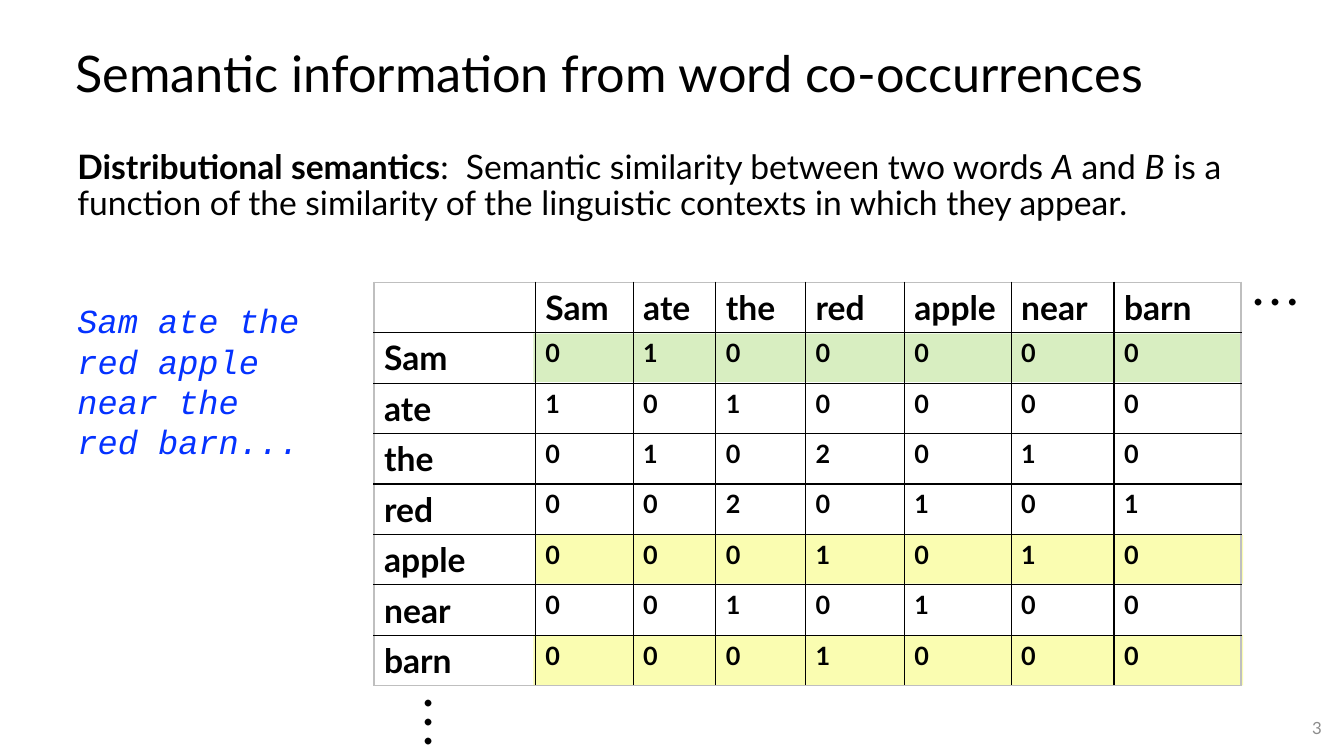
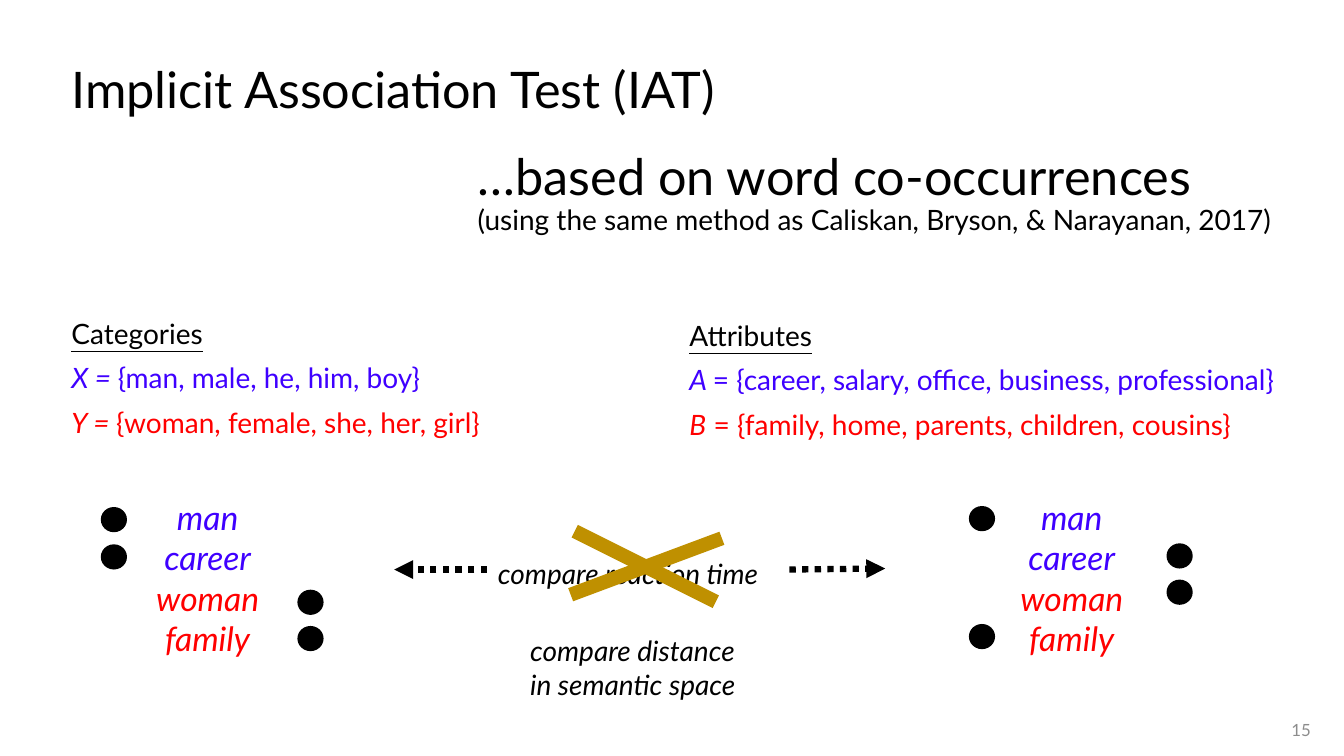
"""Builds two slides on word co-occurrences and the Implicit Association Test."""
from lxml import etree
from pptx import Presentation
from pptx.dml.color import RGBColor
from pptx.enum.dml import MSO_LINE
from pptx.enum.shapes import MSO_CONNECTOR, MSO_SHAPE
from pptx.enum.text import MSO_ANCHOR, PP_ALIGN
from pptx.oxml.ns import qn
from pptx.util import Inches, Pt

BLACK = RGBColor(0x00, 0x00, 0x00)
GRAY = RGBColor(0x8C, 0x8C, 0x8C)
EDGE = RGBColor(0xBF, 0xBF, 0xBF)
CODE_BLUE = RGBColor(0x04, 0x32, 0xFF)
VIOLET = RGBColor(0x3F, 0x00, 0xFF)
RED = RGBColor(0xFF, 0x00, 0x00)
GOLD = RGBColor(0xBF, 0x90, 0x00)
GREEN = RGBColor(0x92, 0xD0, 0x50)
YELLOW = RGBColor(0xF1, 0xFA, 0x21)
FONT = "Lato"


def add_text(s, box, paras, size, font=FONT, anchor=MSO_ANCHOR.TOP,
             align=PP_ALIGN.LEFT, spacing=1.0, before=0):
    """Add a text box; a paragraph is (colour, [(text, style letters), ...])."""
    tf = s.shapes.add_textbox(*map(Inches, box)).text_frame
    tf.word_wrap = True
    tf.vertical_anchor = anchor
    for i, (color, runs) in enumerate(paras):
        p = tf.paragraphs[0] if i == 0 else tf.add_paragraph()
        p.alignment = align
        p.line_spacing = spacing
        p.space_before = Pt(before if i else 0)
        p.font.name = font
        p.font.size = Pt(size)
        p.font.color.rgb = color
        for text, style in runs:
            r = p.add_run()
            r.text = text
            if "b" in style:
                r.font.bold = True
            if "i" in style:
                r.font.italic = True
            if "u" in style:
                r.font.underline = True
    return tf


def add_line(s, start, end, color, width):
    """Add a straight connector without a shadow."""
    line = s.shapes.add_connector(MSO_CONNECTOR.STRAIGHT, *map(Inches, start + end))
    line.line.color.rgb = color
    line.line.width = Pt(width)
    etree.SubElement(line._element.spPr, qn("a:effectLst"))
    return line


prs = Presentation()
prs.slide_width = Inches(13.33)
prs.slide_height = Inches(7.5)

slides = []
for title, title_box, number, number_box in [
    ("Semantic information from word co-occurrences", (0.65, 0.13, 12, 1.25),
     "3", (10.1, 7.02, 3.11, 0.4)),
    ("Implicit Association Test (IAT)", (0.61, 0.19, 11.5, 1.45),
     "15", (10.1, 7.04, 3, 0.4)),
]:
    s = prs.slides.add_slide(prs.slide_layouts[6])
    add_text(s, title_box, [(BLACK, [(title, "")])], 36,
             anchor=MSO_ANCHOR.MIDDLE, spacing=0.9)
    add_text(s, number_box, [(GRAY, [(number, "")])], 12,
             anchor=MSO_ANCHOR.MIDDLE, align=PP_ALIGN.RIGHT)
    slides.append(s)
words_slide, iat_slide = slides

s = words_slide
for left, top, width, height, color in [
    (5.29, 6.3, 7.04, 0.5, YELLOW),
    (5.31, 5.31, 7.02, 0.48, YELLOW),
    (5.29, 3.31, 7.02, 0.48, GREEN),
]:
    band = s.shapes.add_shape(MSO_SHAPE.RECTANGLE, *map(Inches, (left, top, width, height)))
    band.shadow.inherit = False
    band.fill.solid()
    band.fill.fore_color.rgb = color
    band.line.fill.background()
    etree.SubElement(band._element.spPr.find(".//" + qn("a:srgbClr")),
                     qn("a:alpha"), val="35000")

add_text(s, (0.67, 1.44, 12, 0.98), [(BLACK, [
    ("Distributional semantics", "b"),
    (":  Semantic similarity between two words ", ""),
    ("A", "i"), (" and ", ""), ("B", "i"),
    (" is a function of the similarity of the linguistic contexts in which they appear.", ""),
])], 24, spacing=0.9)
add_text(s, (0.67, 2.93, 2.44, 1.72),
         [(CODE_BLUE, [("Sam ate the red apple near the red barn...", "i")])],
         24, font="Courier New")

words = ["Sam", "ate", "the", "red", "apple", "near", "barn"]
counts = ["0100000", "1010000", "0102010", "0020101", "0001010", "0010100", "0001000"]
grid = [[""] + words] + [[word, *row] for word, row in zip(words, counts)]
size = len(grid)

frame = s.shapes.add_table(size, size, *map(Inches, (3.71, 2.8, 8.6, 4)))
table = frame.table
table.first_row = table.horz_banding = False
for column, width in zip(table.columns, [1.6, 0.97, 0.82, 0.89, 0.98, 1.06, 1.02, 1.26]):
    column.width = Inches(width)
for i, row in enumerate(grid):
    table.rows[i].height = Inches(0.5)
    for j, text in enumerate(row):
        cell = table.cell(i, j)
        p = cell.text_frame.paragraphs[0]
        p.font.name = FONT
        p.font.size = Pt(18 if i and j else 24)
        p.font.bold = True
        p.font.color.rgb = BLACK
        if text:
            p.add_run().text = text
        tcPr = cell._tc.get_or_add_tcPr()
        for side, outer in [("L", j == 0), ("R", j == size - 1),
                            ("T", i == 0), ("B", i == size - 1)]:
            ln = etree.SubElement(tcPr, qn(f"a:ln{side}"), w=str(Pt(1)))
            fill = etree.SubElement(ln, qn("a:solidFill"))
            etree.SubElement(fill, qn("a:srgbClr"), val=str(EDGE if outer else BLACK))
        cell.fill.background()

dots_down = [(4.08, 6.4 + 0.19 * k) for k in range(3)]
dots_right = [(12.31 + 0.17 * k, 2.43) for k in range(3)]
for left, top in dots_down + dots_right:
    add_text(s, (left, top, 0.34, 0.77), [(BLACK, [(".", "")])], 40, font="Calibri")

s = iat_slide
tf = add_text(s, (4.64, 1.2, 8.6, 1.45), [
    (BLACK, [("…based on word co-occurrences", "")]),
    (BLACK, [("(using the same method as Caliskan, Bryson, & Narayanan, 2017)", "")]),
], 36, anchor=MSO_ANCHOR.MIDDLE, spacing=0.9)
tf.paragraphs[1].font.size = Pt(20)

for box, heading, sets in [
    ((0.61, 3.13, 5.93, 1.57), "Categories",
     [("X = ", "{man, male, he, him, boy}"),
      ("Y = ", "{woman, female, she, her, girl}")]),
    ((6.74, 3.15, 6.34, 1.68), "Attributes",
     [("A ", "= {career, salary, office, business, professional}"),
      ("B", " = {family, home, parents, children, cousins}")]),
]:
    paras = [(BLACK, [(heading, "u")])]
    for color, (name, members) in zip((VIOLET, RED), sets):
        paras.append((color, [(name, "i"), (members, "")]))
    add_text(s, box, paras, 20, spacing=0.9, before=10)

stimuli = [(VIOLET, "man"), (VIOLET, "career"), (RED, "woman"), (RED, "family")]
for left in (1.41, 9.98):
    add_text(s, (left, 4.88, 1.3, 1.72),
             [(color, [(word, "i")]) for color, word in stimuli],
             24, align=PP_ALIGN.CENTER)

for left, top in [(1, 5.03), (1, 5.4), (2.95, 5.85), (2.95, 6.21),
                  (9.61, 5.02), (9.61, 6.19), (11.57, 5.39), (11.57, 5.75)]:
    dot = s.shapes.add_shape(MSO_SHAPE.OVAL, *map(Inches, (left, top, 0.26, 0.25)))
    dot.shadow.inherit = False
    dot.fill.solid()
    dot.fill.fore_color.rgb = BLACK
    dot.line.fill.background()

add_text(s, (4.84, 5.47, 3.02, 0.44), [(BLACK, [("compare reaction time", "i")])], 20)
add_text(s, (5.16, 6.24, 2.5, 0.77), [
    (BLACK, [("compare distance", "i")]),
    (BLACK, [("in semantic space", "i")]),
], 20)

for start, end in [((7.83, 5.65), (8.78, 5.64)), ((4.83, 5.65), (3.91, 5.65))]:
    arrow = add_line(s, start, end, BLACK, 4.5)
    arrow.line.dash_style = MSO_LINE.ROUND_DOT
    etree.SubElement(arrow._element.spPr.find(qn("a:ln")), qn("a:tailEnd"), type="triangle")
for start, end in [((5.7, 5.27), (7.1, 5.97)), ((5.66, 5.9), (7.16, 5.34))]:
    add_line(s, start, end, GOLD, 10)

prs.save("out.pptx")
